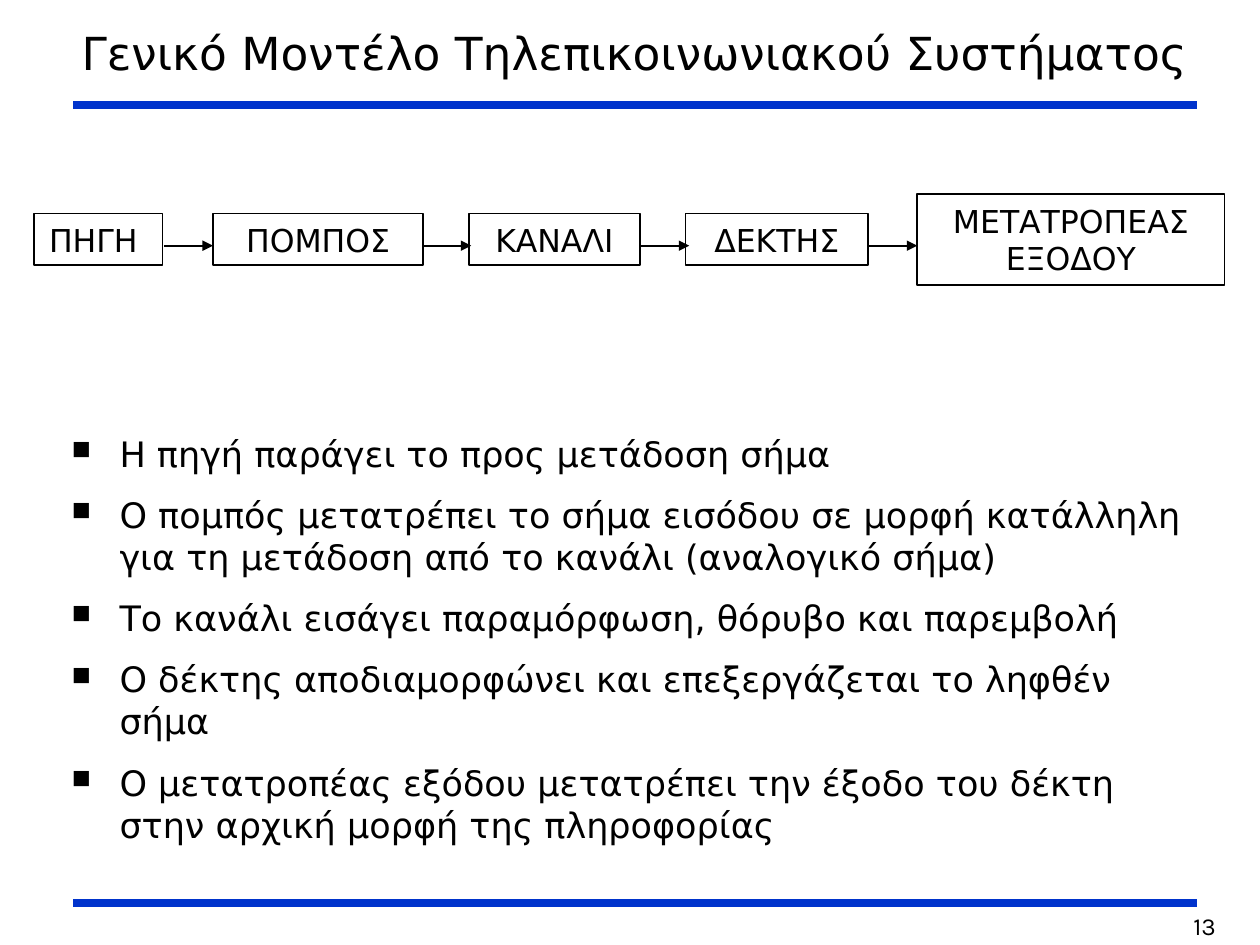
from lxml import etree
from pptx import Presentation, util as u
from pptx.dml.color import RGBColor
from pptx.enum import shapes as sh, text as tx
from pptx.oxml import ns

deck = Presentation()
deck.slide_width, deck.slide_height = u.Inches(10), u.Inches(7.5)
# The page is a grid of 100 columns by 75 rows
col, row = deck.slide_width / 100, deck.slide_height / 75
slide = deck.slides.add_slide(deck.slide_layouts[5])
items = slide.shapes
ink, blue = "000000", "0033CC"
mid = tx.PP_ALIGN.CENTER


def write(box, lines, size, align, face="DejaVu Sans", pad=(1, 0.5), bullet=False, **form):
    """Fill a shape with paragraphs and format its text frame."""
    frame = box.text_frame
    base = {
        "auto_size": tx.MSO_AUTO_SIZE.NONE, "word_wrap": True,
        "vertical_anchor": tx.MSO_ANCHOR.MIDDLE,
        "margin_left": int(pad[0] * col), "margin_right": int(pad[0] * col),
        "margin_top": int(pad[1] * row), "margin_bottom": int(pad[1] * row),
    }
    for key, val in {**base, **form}.items():
        setattr(frame, key, val)
    frame.text = "\n".join(lines)
    for i, para in enumerate(frame.paragraphs):
        para.alignment = align
        if bullet:
            para.space_before = u.Pt(5 if i else 0)
            para.space_after = u.Pt(6)
            props = para._p.get_or_add_pPr()
            props.set("marL", str(int(3.8 * col)))
            props.set("indent", str(int(-3.8 * col)))
            etree.SubElement(props, ns.qn("a:buSzPct"), val="75000")
            etree.SubElement(props, ns.qn("a:buChar"), char="■")
        for key, val in {"size": u.Pt(size), "name": face}.items():
            setattr(para.font, key, val)
        para.font.color.rgb = RGBColor.from_string(ink)


def draw(x, y, end, color, width, arrow=False):
    """Draw a level line from column x to column end."""
    line = items.add_connector(sh.MSO_CONNECTOR.STRAIGHT, *map(
        int, (x * col, y * row, end * col, y * row)))
    line.line.color.rgb = RGBColor.from_string(color)
    line.line.width = u.Pt(width)
    if arrow:
        etree.SubElement(line.line._get_or_add_ln(), ns.qn("a:tailEnd"), type="triangle")
    etree.SubElement(line._element.spPr, ns.qn("a:effectLst"))


for y in (8.3, 71.7):
    draw(5.8, y, 95, blue, 4.5)

title = items.title
place = {"left": 5 * col, "top": 0, "width": 90.8 * col, "height": 8.3 * row}
for key, val in place.items():
    setattr(title, key, int(val))
write(title, ["Γενικό Μοντέλο Τηλεπικοινωνιακού Συστήματος"], 26, mid)

# Block diagram: label, left column, width, height
blocks = [
    ("ΠΗΓΗ ", 2.7, 10.2, 4.1),
    ("ΠΟΜΠΟΣ", 16.9, 16.7, 4.1),
    ("ΚΑΝΑΛΙ", 37.2, 13.6, 4.1),
    ("ΔΕΚΤΗΣ", 54.4, 14.5, 4.1),
    ("ΜΕΤΑΤΡΟΠΕΑΣ ΕΞΟΔΟΥ", 72.8, 24.4, 7.2),
]
for label, x, w, h in blocks:
    box = items.add_shape(sh.MSO_SHAPE.RECTANGLE, *map(
        int, (x * col, (19 - h / 2) * row, w * col, h * row)))
    box.shadow.inherit = False
    box.fill.background()
    box.line.color.rgb = RGBColor.from_string(ink)
    box.line.width = u.Pt(1)
    write(box, [label], 18, mid, word_wrap=h > 5)

for x in (13, 33.5, 50.8, 68.9):
    draw(x, 19.5, x + 3.9, ink, 1, arrow=True)

notes = [
    "Η πηγή παράγει το προς μετάδοση σήμα",
    "Ο πομπός μετατρέπει το σήμα εισόδου σε μορφή κατάλληλη για τη μετάδοση από το κανάλι (αναλογικό σήμα)",
    "Το κανάλι εισάγει παραμόρφωση, θόρυβο και παρεμβολή",
    "Ο δέκτης αποδιαμορφώνει και επεξεργάζεται το ληφθέν σήμα",
    "Ο μετατροπέας εξόδου μετατρέπει την έξοδο του δέκτη στην αρχική μορφή της πληροφορίας",
]
body = items.add_textbox(*map(int, (4.7 * col, 33.8 * row, 90.8 * col, 37.1 * row)))
write(body, notes, 20, tx.PP_ALIGN.LEFT, bullet=True, vertical_anchor=tx.MSO_ANCHOR.TOP)

page = items.add_textbox(*map(int, (86 * col, 72 * row, 11.1 * col, 3 * row)))
write(page, ["13"], 14, tx.PP_ALIGN.RIGHT, "Karla", (0.6, 0.3),
      vertical_anchor=tx.MSO_ANCHOR.TOP)

deck.save("out.pptx")
